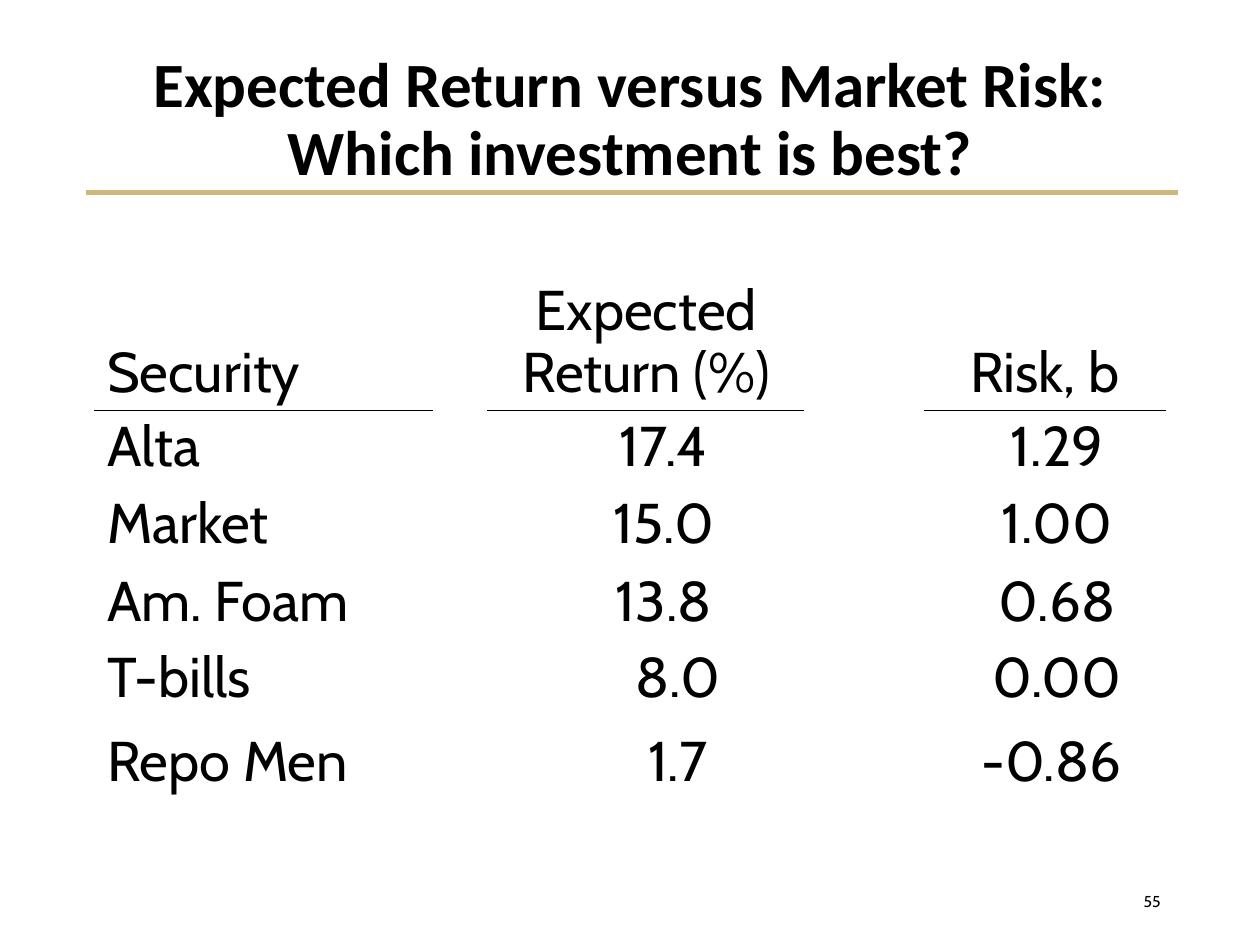
from lxml import etree
from pptx import Presentation
from pptx.dml.color import RGBColor
from pptx.enum.shapes import MSO_CONNECTOR
from pptx.enum.text import MSO_ANCHOR, PP_ALIGN
from pptx.oxml import parse_xml
from pptx.oxml.ns import nsdecls, qn
from pptx.util import Inches, Pt

BLACK = RGBColor(0x00, 0x00, 0x00)
GOLD = RGBColor(0xCF, 0xB8, 0x7C)


def add_text(tf, lines, size, font, align, bold=False, spacing=0.9):
    for i, line in enumerate(lines):
        p = tf.paragraphs[0] if i == 0 else tf.add_paragraph()
        p.alignment = align
        p.line_spacing = spacing
        r = p.add_run()
        r.text = line
        r.font.size = Pt(size)
        r.font.name = font
        r.font.bold = bold
        r.font.color.rgb = BLACK


def add_border(cell, side):
    line = parse_xml(
        f'<a:{side} {nsdecls("a")} w="12700"><a:solidFill>'
        f'<a:srgbClr val="{BLACK}"/></a:solidFill></a:{side}>')
    cell._tc.get_or_add_tcPr().insert(0, line)


prs = Presentation()
prs.slide_width, prs.slide_height = Inches(10), Inches(7.5)
s = prs.slides.add_slide(prs.slide_layouts[6])

# Gold rule under the title
rule = s.shapes.add_connector(
    MSO_CONNECTOR.STRAIGHT, Inches(0.68), Inches(1.53), Inches(9.35), Inches(1.53))
rule.line.color.rgb = GOLD
rule.line.width = Pt(3)
etree.SubElement(rule._element.spPr, qn("a:effectLst"))

# Title and slide number
for box, text, size, font, align, bold, spacing in [
    ((0.69, 0.4, 8.62, 1.13),
     "Expected Return versus Market Risk: Which investment is best?",
     36, "Calibri", PP_ALIGN.CENTER, True, 0.9),
    ((7.06, 6.95, 2.25, 0.4), "55", 9, "Cabin", PP_ALIGN.RIGHT, False, 1.0),
]:
    tf = s.shapes.add_textbox(*map(Inches, box)).text_frame
    tf.word_wrap = True
    tf.vertical_anchor = MSO_ANCHOR.MIDDLE
    add_text(tf, [text], size, font, align, bold, spacing)

# Securities table: narrow empty columns separate the three data columns
COLS = [2.69, 0.43, 2.52, 0.95, 1.91]
ROWS = [1.34, 0.61, 0.62, 0.61, 0.66, 0.65]
DATA = [
    ("Security", "Expected\nReturn (%)", "Risk, b"),
    ("Alta", "17.4", "1.29"),
    ("Market", "15.0", "1.00"),
    ("Am. Foam", "13.8", "0.68"),
    ("T-bills", "8.0", "0.00"),
    ("Repo Men", "1.7", "-0.86"),
]
table = s.shapes.add_table(
    len(ROWS), len(COLS), Inches(0.75), Inches(1.92), Inches(8.5), Inches(4.5)).table
table.first_row = table.horz_banding = False
for col, width in zip(table.columns, COLS):
    col.width = Inches(width)
for row, height in zip(table.rows, ROWS):
    row.height = Inches(height)
for cell in table.iter_cells():
    cell.fill.background()

for i, row in enumerate(DATA):
    for j, text in enumerate(row):
        cell = table.cell(i, 2 * j)
        cell.vertical_anchor = MSO_ANCHOR.BOTTOM if i == 0 else MSO_ANCHOR.TOP
        align = PP_ALIGN.CENTER if j else PP_ALIGN.LEFT
        add_text(cell.text_frame, text.split("\n"), 32, "Cabin", align)
        # Extra left margin lines the figures up by their decimal points
        if i and j == 1:
            cell.margin_left = Inches(0.38 if len(text) == 4 else 0.6)
        elif i and j == 2:
            cell.margin_left = Inches(0.2 if text.startswith("-") else 0.29)
        if i < 2:
            add_border(cell, "lnT" if i else "lnB")

prs.save("out.pptx")
